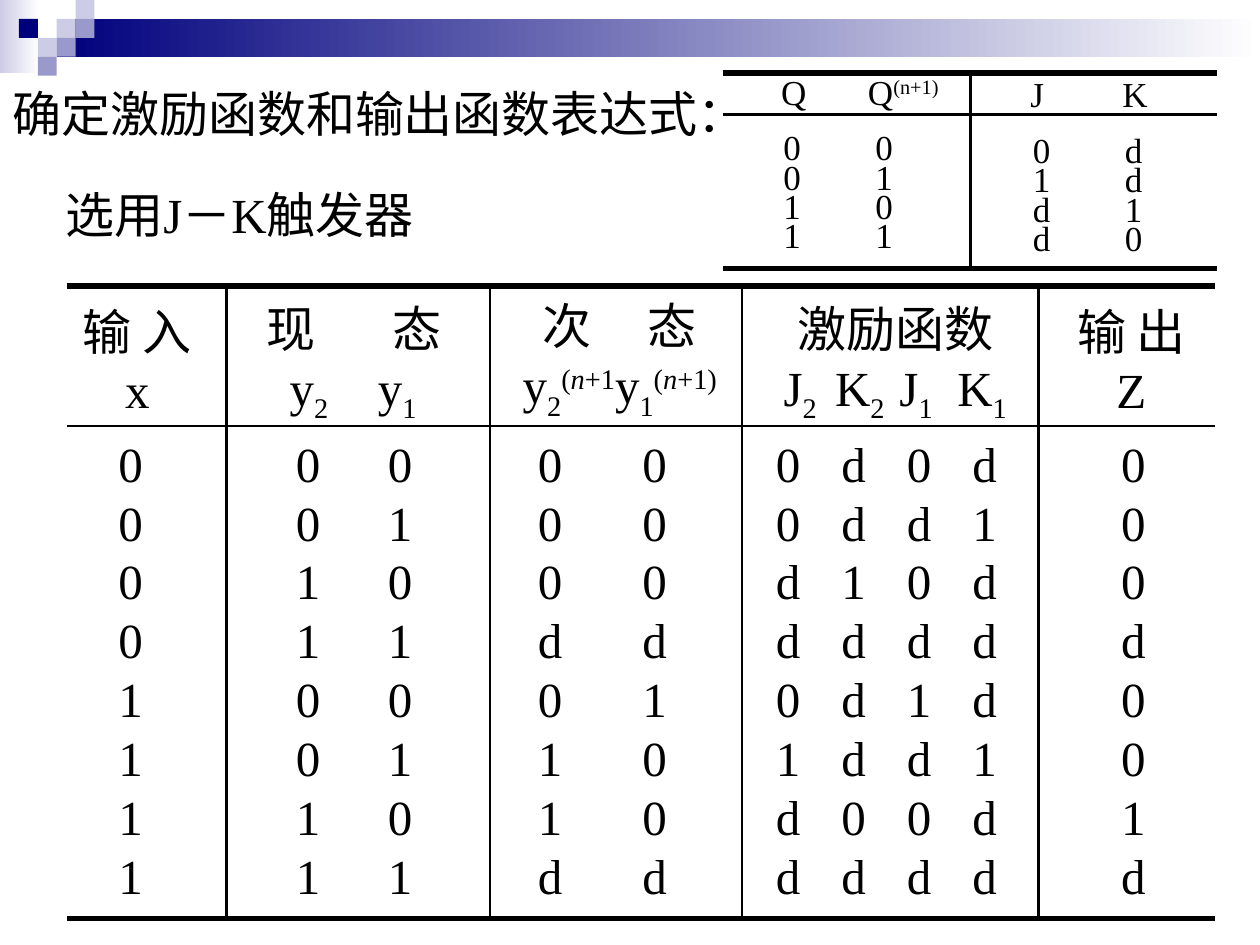
import pptx
import pptx.util
import pptx.dml.color
import pptx.enum.shapes
import pptx.enum.text
import pptx.oxml
import pptx.oxml.ns
import lxml.etree

Inches = pptx.util.Inches
Pt = pptx.util.Pt
ALIGN = pptx.enum.text.PP_ALIGN
QN = pptx.oxml.ns.qn

COLORS = {"ink": "000000", "navy": "00007D", "mid": "9999CC",
          "pale": "CCCCE6", "white": "FFFFFF"}
FONT = "Times New Roman"
SUB, SUP = -25000, 30000


def color(name):
    return pptx.dml.color.RGBColor.from_string(COLORS[name])


def set_values(target, values):
    for name, value in values.items():
        setattr(target, name, value)


def add_tabs(para, stops):
    tab_list = lxml.etree.SubElement(para._p.get_or_add_pPr(), QN("a:tabLst"))
    for stop in stops:
        lxml.etree.SubElement(tab_list, QN("a:tab"),
                              pos=str(Inches(stop)), algn="l")


def write_para(para, spans, size, tabs=(), **values):
    """Fill a paragraph with spans: (text, baseline, italic)."""
    if tabs:
        add_tabs(para, tabs)
    set_values(para, values)
    for text, baseline, italic in spans:
        span = para.add_run()
        span.text = text
        set_values(span.font, {"name": FONT, "size": Pt(size)})
        span.font.color.rgb = color("ink")
        if italic:
            span.font.italic = True
        if baseline:
            span._r.get_or_add_rPr().set("baseline", str(baseline))


def plain(text):
    return [(text, 0, False)]


def indexed(*parts):
    """Alternate normal text and subscripts."""
    return [(text, SUB if i % 2 else 0, False) for i, text in enumerate(parts)]


def prepare_frame(box):
    set_values(box.text_frame, {
        "word_wrap": True,
        "auto_size": pptx.enum.text.MSO_AUTO_SIZE.SHAPE_TO_FIT_TEXT,
        "vertical_anchor": pptx.enum.text.MSO_ANCHOR.TOP,
        "margin_left": Inches(0.1), "margin_right": Inches(0.1),
        "margin_top": Inches(0.05), "margin_bottom": Inches(0.05)})
    return box.text_frame


def add_text(page, area, lines, size, **values):
    """Lines are (spans, tabs) pairs, one for each paragraph."""
    frame = prepare_frame(page.shapes.add_textbox(*map(Inches, area)))
    for i, (spans, tabs) in enumerate(lines):
        para = frame.add_paragraph() if i else frame.paragraphs[0]
        write_para(para, spans, size, tabs, **values)


def add_column(page, area, rows, size, pitch=0, **values):
    """One character for each cell; cells stand a pitch apart."""
    stops = [round(pitch * i, 2) for i in range(1, len(rows[0]))]
    add_text(page, area, [(plain("\t".join(row)), stops) for row in rows],
             size, **values)


def add_rule(page, start, end, width):
    rule = page.shapes.add_connector(
        pptx.enum.shapes.MSO_CONNECTOR.STRAIGHT, *map(Inches, start + end))
    rule.line.color.rgb = color("ink")
    rule.line.width = Pt(width)
    lxml.etree.SubElement(rule._element.spPr, QN("a:effectLst"))


def add_block(page, area, *names):
    """A rectangle with one colour, or two that fade from right to left."""
    block = page.shapes.add_shape(
        pptx.enum.shapes.MSO_SHAPE.RECTANGLE, *map(Inches, area))
    block.shadow.inherit = False
    block.line.fill.background()
    if len(names) == 1:
        block.fill.solid()
        block.fill.fore_color.rgb = color(names[0])
        return
    block.fill.gradient()
    block.fill.gradient_angle = 180
    for stop, name, position in zip(block.fill.gradient_stops, names, (0, 1)):
        stop.color.rgb = color(name)
        stop.position = position


def add_banner(page, left, top, width):
    add_block(page, (left, top, 0.31, 0.58), "white", "pale")
    add_block(page, (left + 0.45, top + 0.15, width - 0.45, 0.3), "white", "navy")
    side = 0.15
    for column, row, name in ((3, 1, "pale"), (4, 0, "pale"), (4, 1, "mid"),
                              (2, 2, "pale"), (1, 1, "navy"), (3, 2, "mid"),
                              (2, 3, "mid")):
        add_block(page, (left + column * side, top + row * side, side, side), name)


def add_heading(page, area):
    title = page.shapes.title
    set_values(title, dict(zip(("left", "top", "width", "height"),
                               map(Inches, area))))
    frame = prepare_frame(title)
    style = {"alignment": ALIGN.LEFT, "line_spacing": 1.2}
    write_para(frame.paragraphs[0], plain("确定激励函数和输出函数表达式："),
               28, **style)
    para = frame.add_paragraph()
    para._p.get_or_add_pPr().set("marL", str(Inches(0.42)))
    write_para(para, plain("选用J－K触发器"), 28,
               space_before=Pt(17.5), **style)


def add_excitation_table(page, left, top, width, height):
    right, bottom = left + width, top + height
    for y, weight in ((top, 3), (bottom, 3), (top + 0.33, 1.5)):
        add_rule(page, (left, y), (right, y), weight)
    middle = left + width / 2
    add_rule(page, (middle, top), (middle, bottom), 1.5)

    add_text(page, (left + 0.36, top - 0.07, 1.55, 0.44),
             [([("Q\tQ", 0, False), ("(n+1)", SUP, False)], [0.69])], 20)
    add_column(page, (left + 2.34, top - 0.05, 1.2, 0.44), ["JK"], 20, 0.73)
    for x, y, rows in ((0.38, 0.46, ("00", "01", "10", "11")),
                       (2.36, 0.48, ("0d", "1d", "d1", "d0"))):
        add_column(page, (left + x, top + y, 1.2, 1.04), rows, 20, 0.73,
                   line_spacing=0.7)


def add_state_table(page, left, top, width, height):
    right, bottom = left + width, top + height
    # Rules
    for y, weight in ((top, 3), (bottom, 3), (top + 1.11, 1)):
        add_rule(page, (left, y), (right, y), weight)
    for x in (1.27, 3.36, 5.36, 7.71):
        add_rule(page, (left + x, top), (left + x, bottom), 1.5)

    # Column heads
    for x, name, symbol in ((-0.04, "输 入", "x"), (7.85, "输 出", "Z")):
        add_text(page, (left + x, top + 0.07, 1.2, 1.04),
                 [(plain(name), ()), (plain(symbol), ())], 28,
                 alignment=ALIGN.CENTER)
    add_text(page, (left + 1.49, top + 0.05, 1.65, 1.1),
             [(plain("现\t态"), [1]),
              (indexed("\ty", "2", "\ty", "1"), [0.18, 0.88])], 28)
    next_state = [("y", 0, False), ("2", SUB, False), ("(", SUP, False),
                  ("n", SUP, True), ("+1", SUP, False),
                  ("y", 0, False), ("1", SUB, False), ("(", SUP, False),
                  ("n", SUP, True), ("+1)", SUP, False)]
    add_text(page, (left + 3.52, top + 0.03, 1.84, 1.1),
             [(plain("\t次\t态"), [0.16, 0.99]), (next_state, ())], 28)
    add_text(page, (left + 5.47, top + 0.05, 2.22, 1.1),
             [(plain("\t激励函数"), [0.23]),
              (indexed("\tJ", "2", "\tK", "2", "\tJ", "1", "\tK", "1"),
               [0.12, 0.53, 1.04, 1.5])], 28)

    # Values: offset, width, pitch, rows
    columns = (
        (0.31, 0.45, 0, "00001111"),
        (1.72, 1.25, 0.73, ("00", "01", "10", "11") * 2),
        (3.64, 1.35, 0.83, ("00", "00", "00", "dd", "01", "10", "10", "dd")),
        (5.53, 2.1, 0.52, ("0d0d", "0dd1", "d10d", "dddd",
                           "0d1d", "1dd1", "d00d", "dddd")),
        (8.27, 0.45, 0, "000d001d"))
    for x, box_width, pitch, rows in columns:
        add_column(page, (left + x, top + 1.12, box_width, 3.84),
                   rows, 28, pitch)


def main():
    deck = pptx.Presentation()
    deck.slide_width, deck.slide_height = Inches(10), Inches(7.5)
    page = deck.slides.add_slide(deck.slide_layouts.get_by_name("Title Only"))
    add_banner(page, 0, 0, 10)
    add_heading(page, (0, 0.52, 8.02, 1.47))
    add_state_table(page, 0.53, 2.27, 9.11, 5.02)
    add_excitation_table(page, 5.74, 0.58, 3.92, 1.55)
    deck.save("out.pptx")


if __name__ == "__main__":
    main()
